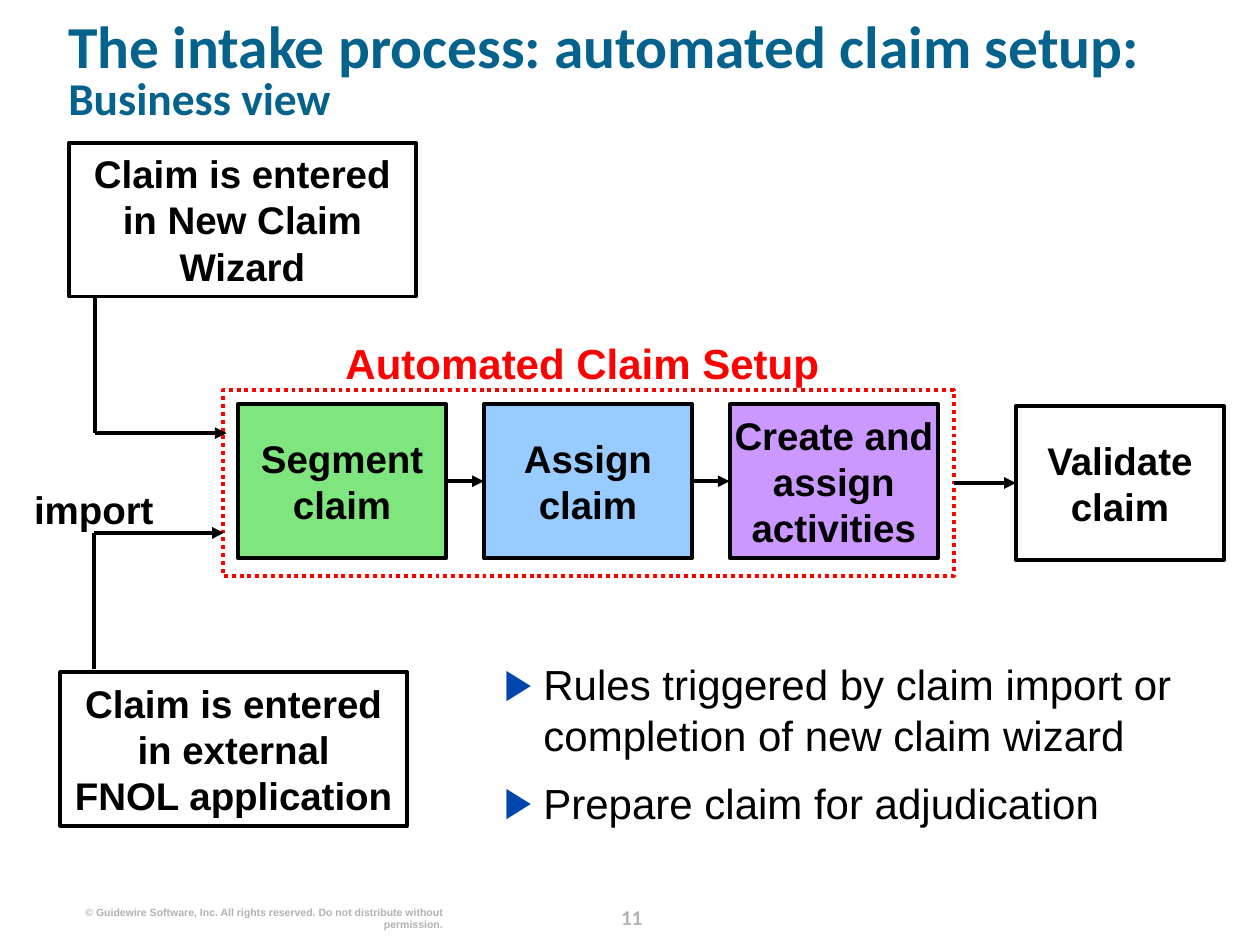
from dataclasses import dataclass

from lxml import etree
from pptx import Presentation
from pptx.dml.color import RGBColor
from pptx.enum import dml, shapes, text
from pptx.oxml import ns
from pptx.util import Pt


@dataclass(frozen=True)
class Theme:
    ink: str = "000000"
    paper: str = "FFFFFF"
    title: str = "04628C"
    alert: str = "FF0000"
    mark: str = "0146AD"
    mute: str = "B2B2B2"
    green: str = "00CC00"
    blue: str = "3399FF"
    violet: str = "9933FF"
    sans: str = "Arial"
    head: str = "Calibri"
    big: float = 34
    sub: float = 26
    body: float = 24
    label: float = 22
    page: float = 12
    tiny: float = 6
    line: float = 2.25


@dataclass(frozen=True)
class Area:
    left: float
    top: float
    width: float
    height: float

    def points(self):
        return Pt(self.left), Pt(self.top), Pt(self.width), Pt(self.height)


@dataclass(frozen=True)
class Box:
    words: str
    area: Area
    fill: str = Theme.paper
    line: str = Theme.ink
    clear: bool = False
    inset: float = 0


@dataclass(frozen=True)
class Note:
    words: str
    area: Area
    size: float
    color: str
    align: text.PP_ALIGN = text.PP_ALIGN.LEFT
    bold: bool = True
    face: str = Theme.sans


theme = Theme()
CENTER = text.PP_ALIGN.CENTER


def add_node(parent, tag, **attrs):
    return etree.SubElement(parent, ns.qn(tag), attrs)


def style(para, size: float, color: str, bold: bool = True, face: str = theme.sans):
    for run in para.runs:
        run.font.size = Pt(size)
        run.font.bold = bold
        run.font.name = face
        run.font.color.rgb = RGBColor.from_string(color)


def fit(frame, side: float = 0):
    frame.word_wrap = True
    frame.margin_left = frame.margin_right = Pt(side)
    frame.margin_top = frame.margin_bottom = 0


def draw_box(slide, box: Box):
    shape = slide.shapes.add_shape(shapes.MSO_SHAPE.RECTANGLE, *box.area.points())
    shape.shadow.inherit = False
    shape.fill.solid()
    shape.fill.fore_color.rgb = RGBColor.from_string(box.fill)
    if box.clear:
        color = shape.fill._xPr.find(".//" + ns.qn("a:srgbClr"))
        add_node(color, "a:alpha", val="50000")
    shape.line.color.rgb = RGBColor.from_string(box.line)
    shape.line.width = Pt(theme.line)
    if box.words:
        frame = shape.text_frame
        fit(frame, box.inset)
        frame.vertical_anchor = text.MSO_ANCHOR.MIDDLE
        frame.text = box.words
        frame.paragraphs[0].alignment = CENTER
        style(frame.paragraphs[0], theme.label, theme.ink)
    return shape


def draw_note(slide, note: Note):
    frame = slide.shapes.add_textbox(*note.area.points()).text_frame
    fit(frame)
    frame.text = note.words
    for para in frame.paragraphs:
        para.alignment = note.align
        style(para, note.size, note.color, note.bold, note.face)
    return frame


def draw_line(slide, start=(0, 0), end=(0, 0), arrow: bool = True):
    line = slide.shapes.add_connector(
        shapes.MSO_CONNECTOR.STRAIGHT, *map(Pt, (*start, *end)))
    line.line.color.rgb = RGBColor.from_string(theme.ink)
    line.line.width = Pt(theme.line)
    if arrow:
        add_node(line.line._get_or_add_ln(), "a:tailEnd", type="triangle")
    add_node(line._element.spPr, "a:effectLst")
    return line


def link(slide, first, last):
    line = draw_line(slide)
    line.begin_connect(first, 3)
    line.end_connect(last, 1)


def draw_bend(slide, start, turn, end):
    draw_line(slide, start, turn, arrow=False)
    draw_line(slide, turn, end)


def draw_title(slide):
    title = slide.shapes.title
    title.left, title.top, title.width, title.height = Area(39, 13, 655, 58).points()
    frame = title.text_frame
    fit(frame)
    frame.vertical_anchor = text.MSO_ANCHOR.MIDDLE
    frame.text = "The intake process: automated claim setup:\vBusiness view"
    para = frame.paragraphs[0]
    para.alignment = text.PP_ALIGN.LEFT
    para.line_spacing = 0.8
    style(para, theme.big, theme.title, face=theme.head)
    para.runs[-1].font.size = Pt(theme.sub)


def draw_list(slide, items):
    area = Area(288, 376.5, 408, 104.5)
    frame = draw_note(slide, Note(
        "\n".join(items), area, theme.body, theme.ink, bold=False))
    for spot, para in enumerate(frame.paragraphs):
        props = para._p.get_or_add_pPr()
        props.set("marL", str(Pt(22.5)))
        props.set("indent", str(Pt(-22.5)))
        add_node(add_node(props, "a:buClr"), "a:srgbClr", val=theme.mark)
        add_node(props, "a:buFont", typeface=theme.sans)
        add_node(props, "a:buChar", char="▶")
        if spot:
            para.space_before = Pt(10)


def main():
    deck = Presentation()
    deck.slide_width, deck.slide_height = Pt(720), Pt(540)
    slide = deck.slides.add_slide(deck.slide_layouts[5])
    draw_title(slide)

    frame = draw_box(slide, Box("", Area(127.5, 223, 417.5, 106), line=theme.alert))
    frame.line.dash_style = dml.MSO_LINE.ROUND_DOT

    sources = (
        Box("Claim is entered in New Claim Wizard", Area(39.5, 81.5, 198, 88), inset=7),
        Box("Claim is entered in external\vFNOL application",
            Area(34.5, 384, 198, 88), inset=7),
    )
    for box in sources:
        draw_box(slide, box)

    steps = (
        ("Segment\vclaim", theme.green),
        ("Assign\vclaim", theme.blue),
        ("Create and assign activities", theme.violet),
    )
    chain = [
        draw_box(slide, Box(words, Area(136 + 140.5 * spot, 231, 119, 88), fill, clear=True))
        for spot, (words, fill) in enumerate(steps)
    ]
    check = draw_box(slide, Box("Validate\vclaim", Area(580.5, 232, 119, 88)))
    for first, last in (*zip(chain, chain[1:]), (frame, check)):
        link(slide, first, last)

    draw_bend(slide, (54.5, 169.5), (54.5, 247.5), (129.5, 247.5))
    draw_bend(slide, (53.5, 382.5), (53.5, 304.5), (128, 304.5))

    notes = (
        Note("Automated Claim Setup", Area(175.5, 193, 314.5, 29),
             theme.body, theme.alert, CENTER),
        Note("import", Area(19.5, 277.5, 77, 26.5), theme.label, theme.ink),
        Note("© Guidewire Software, Inc. All rights reserved. "
             "Do not distribute without permission.",
             Area(44, 517.5, 209, 14), theme.tiny, theme.mute, text.PP_ALIGN.RIGHT),
    )
    for note in notes:
        draw_note(slide, note)
    page = draw_note(slide, Note("11", Area(340.5, 513.5, 41, 18), theme.page,
                                 theme.mute, CENTER, face=theme.head))
    page.paragraphs[0].line_spacing = Pt(18)

    draw_list(slide, (
        "Rules triggered by claim import or completion of new claim wizard",
        "Prepare claim for adjudication",
    ))
    deck.save("out.pptx")


if __name__ == "__main__":
    main()
